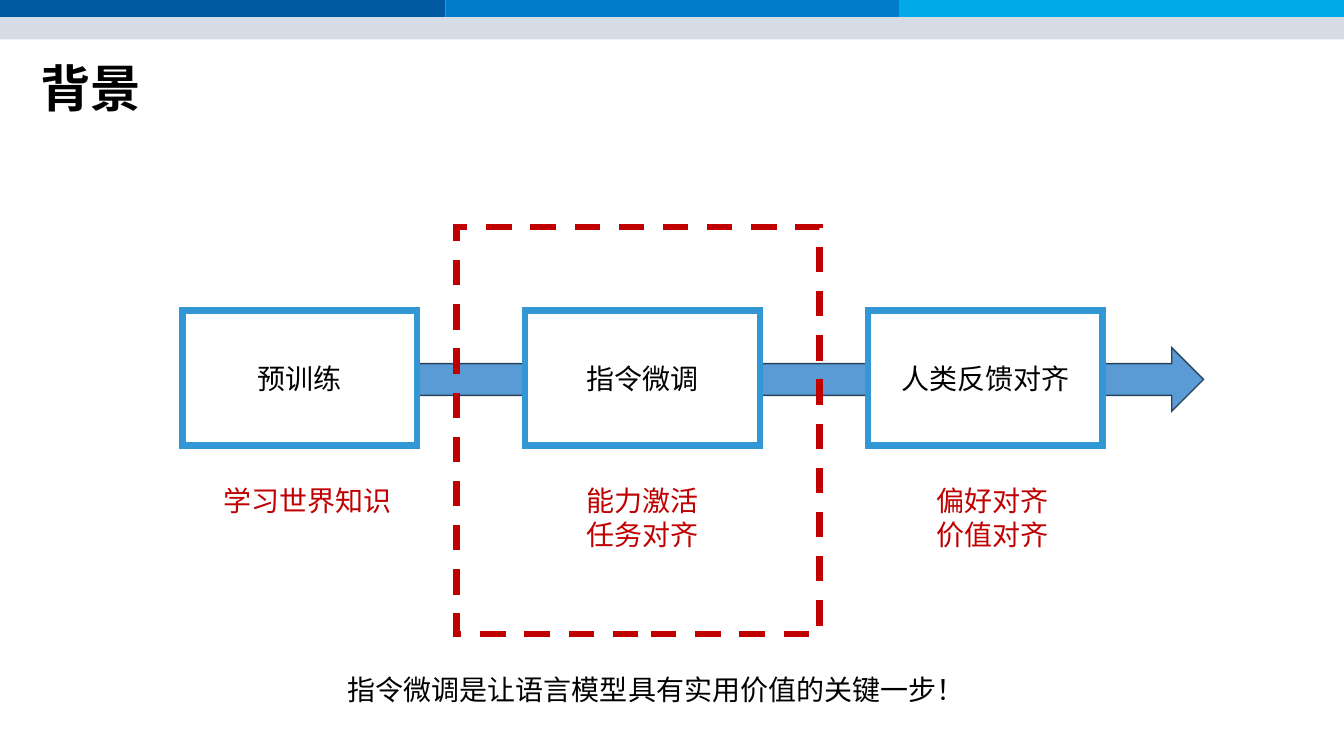
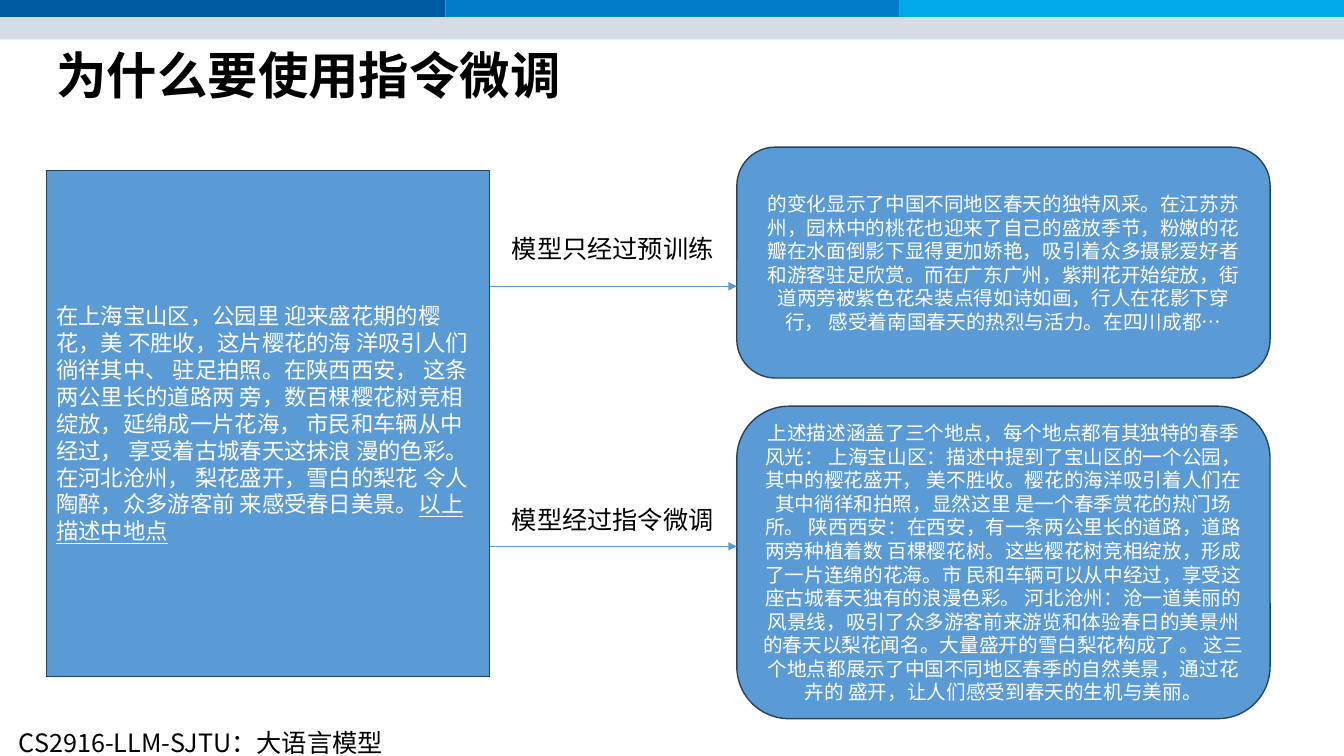
import pptx
import pptx.util
import pptx.dml.color
import pptx.enum.dml
import pptx.enum.shapes
import pptx.enum.text
import pptx.oxml
import pptx.oxml.ns

Inches, Pt = pptx.util.Inches, pptx.util.Pt
SHAPE = pptx.enum.shapes.MSO_SHAPE
ALIGN = pptx.enum.text.PP_ALIGN
ANCHOR = pptx.enum.text.MSO_ANCHOR
AUTO_SIZE = pptx.enum.text.MSO_AUTO_SIZE

COLORS = {
    "navy": "005AA2", "blue": "007CC8", "cyan": "00AAE9", "gray": "D6DCE5",
    "fill": "5B9BD5", "edge": "28445D", "stage": "3297D4",
    "red": "C00000", "black": "000000", "white": "FFFFFF",
}
CHINESE_FONT = "Noto Sans CJK SC"
LATIN_FONT = "Calibri"

# Character formats
TITLE = {"size": Pt(36), "name": CHINESE_FONT, "bold": True}
LABEL = {"size": Pt(20), "name": CHINESE_FONT}
FOOTER = {"size": Pt(18), "name": CHINESE_FONT}
ARROW_LABEL = {"size": Pt(18), "name": LATIN_FONT}
PROMPT = {"size": Pt(16), "name": LATIN_FONT}
ANSWER = {"size": Pt(14), "name": LATIN_FONT}

PROMPT_TEXT = (
    "在上海宝山区，公园里 迎来盛花期的樱花，美 不胜收，这片樱花的海 洋吸引人们徜徉其中、 "
    "驻足拍照。在陕西西安， 这条两公里长的道路两 旁，数百棵樱花树竞相 绽放，延绵成一片花海， "
    "市民和车辆从中经过， 享受着古城春天这抹浪 漫的色彩。在河北沧州， 梨花盛开，雪白的梨花 "
    "令人陶醉，众多游客前 来感受春日美景。")
PROMPT_QUESTION = "以上 描述中地点"
PRETRAINED_ANSWER = (
    "的变化显示了中国不同地区春天的独特风采。在江苏苏 州，园林中的桃花也迎来了自己的盛放季节，"
    "粉嫩的花 瓣在水面倒影下显得更加娇艳，吸引着众多摄影爱好者 和游客驻足欣赏。而在广东广州，"
    "紫荆花开始绽放，街 道两旁被紫色花朵装点得如诗如画，行人在花影下穿行， "
    "感受着南国春天的热烈与活力。在四川成都…")
TUNED_ANSWER = (
    "上述描述涵盖了三个地点，每个地点都有其独特的春季风光： 上海宝山区：描述中提到了宝山区的一个公园，"
    "其中的樱花盛开， 美不胜收。樱花的海洋吸引着人们在其中徜徉和拍照，显然这里 是一个春季赏花的热门场所。 "
    "陕西西安：在西安，有一条两公里长的道路，道路两旁种植着数 百棵樱花树。这些樱花树竞相绽放，"
    "形成了一片连绵的花海。市 民和车辆可以从中经过，享受这座古城春天独有的浪漫色彩。 "
    "河北沧州：沧一道美丽的风景线，吸引了众多游客前来游览和体验春日的美景州的春天以梨花闻名。"
    "大量盛开的雪白梨花构成了 。 这三个地点都展示了中国不同地区春季的自然美景，通过花卉的 盛开，"
    "让人们感受到春天的生机与美丽。")


def rgb(color):
    return pptx.dml.color.RGBColor.from_string(COLORS[color])


def make_element(tag, attributes=""):
    return pptx.oxml.parse_xml(f'<a:{tag} {pptx.oxml.ns.nsdecls("a")} {attributes}/>')


def add_span(para, text, style, color="black", **extra):
    span = para.add_run()
    span.text = text
    for key, value in {**style, **extra}.items():
        setattr(span.font, key, value)
    span.font.color.rgb = rgb(color)
    properties = span._r.get_or_add_rPr()
    properties.set("lang", "zh-CN")
    latin = properties.find(pptx.oxml.ns.qn("a:latin"))
    latin.addnext(make_element("ea", f'typeface="{CHINESE_FONT}"'))


def write(frame, lines, style, color="black", align=ALIGN.LEFT, spacing=None):
    frame.word_wrap = True
    for index, line in enumerate(lines):
        para = frame.add_paragraph() if index else frame.paragraphs[0]
        para.alignment = align
        # Keep punctuation inside the text area
        para._p.get_or_add_pPr().set("hangingPunct", "0")
        if spacing:
            para.line_spacing = spacing
        add_span(para, line, style, color)


def add_text(page, place, lines, style, **options):
    box = page.shapes.add_textbox(*map(Inches, place))
    write(box.text_frame, lines, style, **options)


def add_box(page, place, fill=None, edge=None, width=1, kind=SHAPE.RECTANGLE):
    box = page.shapes.add_shape(kind, *map(Inches, place))
    box.shadow.inherit = False
    if fill:
        box.fill.solid()
        box.fill.fore_color.rgb = rgb(fill)
    else:
        box.fill.background()
    if edge:
        box.line.color.rgb = rgb(edge)
        box.line.width = Pt(width)
        box.line._get_or_add_ln().append(make_element("miter", 'lim="800000"'))
    else:
        box.line.fill.background()
    box.text_frame.vertical_anchor = ANCHOR.MIDDLE
    return box


def add_arrow(page, left, right, y):
    arrow = page.shapes.add_connector(
        pptx.enum.shapes.MSO_CONNECTOR.STRAIGHT, *map(Inches, (left, y, right, y)))
    arrow.line.color.rgb = rgb("fill")
    arrow.line.width = Pt(0.5)
    arrow.line._get_or_add_ln().append(make_element("tailEnd", 'type="triangle"'))
    arrow.element.spPr.append(make_element("effectLst"))


def add_page(deck, title, left, top):
    page = deck.slides.add_slide(deck.slide_layouts.get_by_name("Title Only"))
    box = page.shapes.title
    place = {"left": left, "top": top, "width": 12.14, "height": 0.66}
    for key, value in place.items():
        setattr(box, key, Inches(value))
    frame = box.text_frame
    frame.auto_size = AUTO_SIZE.NONE
    frame.vertical_anchor = ANCHOR.MIDDLE
    write(frame, [title], TITLE, spacing=0.9)
    return page


def move_bands_to_master(deck, page):
    """Draw the top bands and hand them to the master, behind everything."""
    bands = [
        ((0, 0, 4.42, 0.17), "navy"),
        ((4.42, 0, 4.5, 0.17), "blue"),
        ((8.92, 0, 4.42, 0.17), "cyan"),
        ((0, 0.17, 13.34, 0.22), "gray"),
    ]
    tree = deck.slide_master.element.cSld.spTree
    for index, (place, color) in enumerate(bands):
        band = add_box(page, place, color).element
        band.nvSpPr.cNvPr.set("id", str(100 + index))
        tree.insert(2 + index, band)


def build_background(page):
    # Pipeline arrow behind the three stages
    add_box(page, (3.14, 3.45, 8.8, 0.63), "fill", "edge", kind=SHAPE.RIGHT_ARROW)
    for index, stage in enumerate(["预训练", "指令微调", "人类反馈对齐"]):
        box = add_box(page, (1.81 + 3.4 * index, 3.08, 2.33, 1.34), "white", "stage", 4.5)
        write(box.text_frame, [stage], LABEL, align=ALIGN.CENTER)

    # Goal of each stage
    goals = [
        (2.12, ["学习世界知识"], ALIGN.LEFT),
        (5.4, ["能力激活", "任务对齐"], ALIGN.CENTER),
        (8.87, ["偏好对齐", "价值对齐"], ALIGN.CENTER),
    ]
    for left, lines, align in goals:
        add_text(page, (left, 4.75, 1.95, 0.77), lines, LABEL, color="red", align=align)

    # Highlight and conclusion
    focus = add_box(page, (4.53, 2.25, 3.6, 4.04), None, "red", 4.5)
    focus.line.dash_style = pptx.enum.dml.MSO_LINE.DASH
    add_text(page, (3.35, 6.62, 6.42, 0.44),
             ["指令微调是让语言模型具有实用价值的关键一步！"], LABEL)


def build_comparison(page):
    # Prompt given to both models
    prompt = add_box(page, (0.46, 1.69, 4.4, 5.02), "fill", "edge")
    write(prompt.text_frame, [PROMPT_TEXT], PROMPT, "white")
    add_span(prompt.text_frame.paragraphs[0], PROMPT_QUESTION, PROMPT, "white", underline=True)

    # Each model: answer box, arrow and label
    models = [
        ("模型只经过预训练", PRETRAINED_ANSWER, 1.46, 2.29, 2.84, 2.27),
        ("模型经过指令微调", TUNED_ANSWER, 4.03, 3.1, 5.42, 4.95),
    ]
    for label, answer, top, height, arrow_y, label_top in models:
        box = add_box(page, (7.31, top, 5.29, height), "fill", "edge",
                      kind=SHAPE.ROUNDED_RECTANGLE)
        write(box.text_frame, [answer], ANSWER, "white", ALIGN.CENTER)
        add_arrow(page, 4.86, 7.31, arrow_y)
        add_text(page, (4.98, label_top, 2.46, 0.4), [label], ARROW_LABEL)

    # Course line
    add_text(page, (0.09, 7.02, 6.67, 0.51), ["CS2916-LLM-SJTU：大语言模型"],
             FOOTER, spacing=1.5)


def main():
    deck = pptx.Presentation()
    deck.slide_width, deck.slide_height = Inches(40 / 3), Inches(7.5)
    background = add_page(deck, "背景", 0.3, 0.57)
    move_bands_to_master(deck, background)
    build_background(background)
    build_comparison(add_page(deck, "为什么要使用指令微调", 0.46, 0.45))
    deck.save("out.pptx")


if __name__ == "__main__":
    main()
